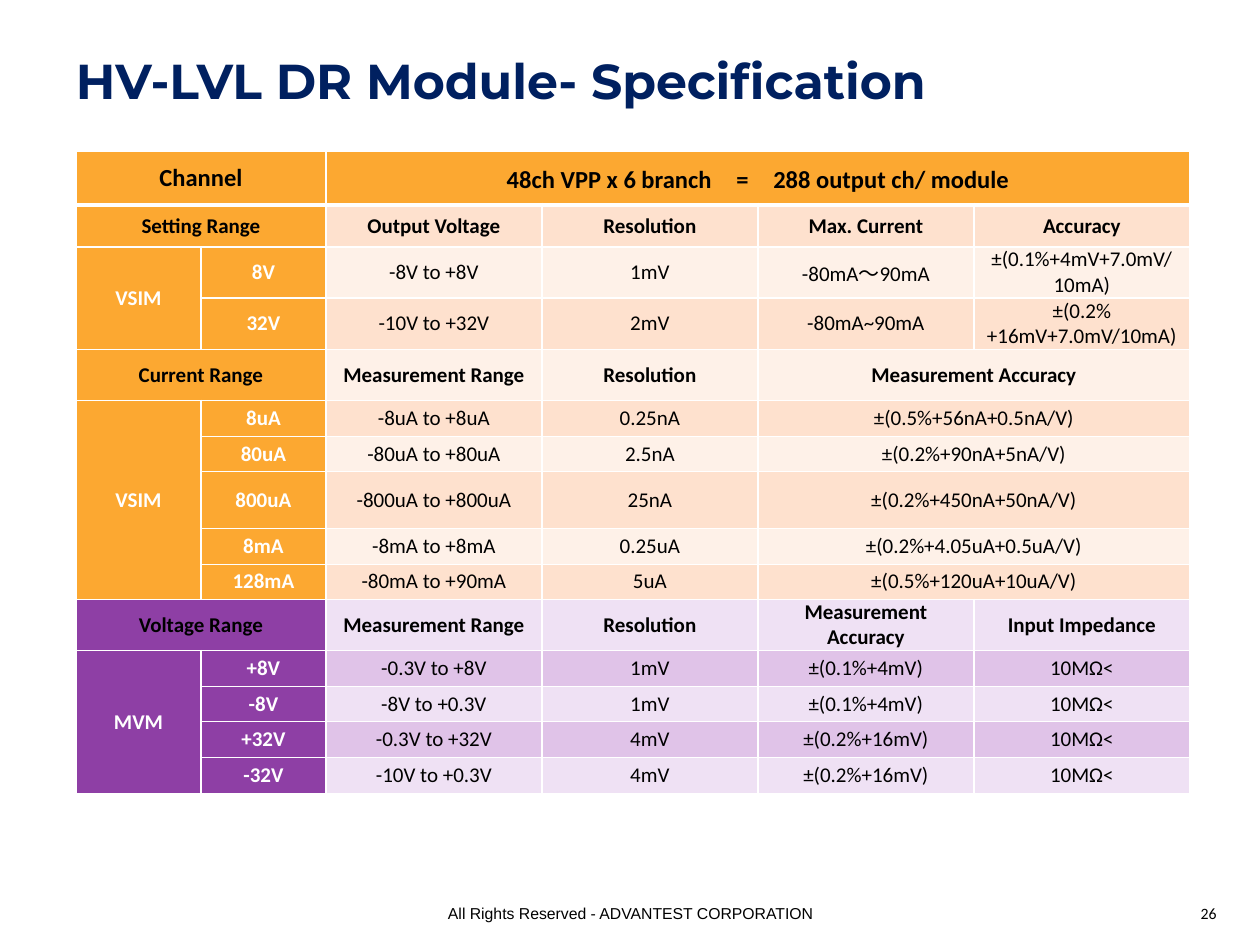
from lxml.etree import SubElement
from pptx import Presentation
from pptx.dml.color import RGBColor
from pptx.enum.text import MSO_ANCHOR, PP_ALIGN
from pptx.oxml.ns import qn
from pptx.util import Emu, Pt

TITLE = "HV-LVL DR Module- Specification"
FOOTER = "All Rights Reserved - ADVANTEST CORPORATION"
PAGE_NUMBER = "26"

NAVY = RGBColor(0x00, 0x20, 0x60)
BLACK = RGBColor(0x00, 0x00, 0x00)
WHITE = RGBColor(0xFF, 0xFF, 0xFF)
ORANGE = RGBColor(0xFC, 0xA8, 0x31)
ORANGE_BANDS = (RGBColor(0xFE, 0xF1, 0xE8), RGBColor(0xFE, 0xE1, 0xCE))
PURPLE = RGBColor(0x8E, 0x3F, 0xA5)
PURPLE_BANDS = (RGBColor(0xEF, 0xE1, 0xF4), RGBColor(0xE0, 0xC3, 0xE8))

CHANNEL = ("Channel", "48ch VPP x 6 branch　=　288 output ch/ module")
SECTIONS = [
    {"color": ORANGE, "bands": ORANGE_BANDS, "group": "VSIM",
     "header": ("Setting Range", "Output Voltage", "Resolution", "Max. Current", "Accuracy"),
     "rows": [("8V", "-8V to +8V", "1mV", "-80mA～90mA", "±(0.1%+4mV+7.0mV/10mA)"),
              ("32V", "-10V to +32V", "2mV", "-80mA~90mA", "±(0.2%+16mV+7.0mV/10mA)")]},
    {"color": ORANGE, "bands": ORANGE_BANDS, "group": "VSIM",
     "header": ("Current Range", "Measurement Range", "Resolution", "Measurement Accuracy"),
     "rows": [("8uA", "-8uA to +8uA", "0.25nA", "±(0.5%+56nA+0.5nA/V)"),
              ("80uA", "-80uA to +80uA", "2.5nA", "±(0.2%+90nA+5nA/V)"),
              ("800uA", "-800uA to +800uA", "25nA", "±(0.2%+450nA+50nA/V)"),
              ("8mA", "-8mA to +8mA", "0.25uA", "±(0.2%+4.05uA+0.5uA/V)"),
              ("128mA", "-80mA to +90mA", "5uA", "±(0.5%+120uA+10uA/V)")]},
    {"color": PURPLE, "bands": PURPLE_BANDS, "group": "MVM",
     "header": ("Voltage Range", "Measurement Range", "Resolution",
                "Measurement Accuracy", "Input Impedance"),
     "rows": [("+8V", "-0.3V to +8V", "1mV", "±(0.1%+4mV)", "10MΩ<"),
              ("-8V", "-8V to +0.3V", "1mV", "±(0.1%+4mV)", "10MΩ<"),
              ("+32V", "-0.3V to +32V", "4mV", "±(0.2%+16mV)", "10MΩ<"),
              ("-32V", "-10V to +0.3V", "4mV", "±(0.2%+16mV)", "10MΩ<")]},
]
COLUMN_WIDTHS = [125, 125, 216, 216, 216, 216]
ROW_HEIGHTS = [54, 42, 51, 51, 51, 36, 35, 57, 36, 35, 51, 36, 35, 36, 36]
LAST_COLUMN = len(COLUMN_WIDTHS) - 1


def px(value):
    return Emu(round(value * 914400 / 126))


def write(frame, text, size=12, font="Calibri", color=BLACK, bold=False, align=PP_ALIGN.CENTER):
    para = frame.paragraphs[0]
    para.alignment = align
    span = para.add_run()
    span.text = text
    span.font.size = Pt(size)
    span.font.name = font
    span.font.color.rgb = color
    span.font.bold = bold


def add_label(page, text, left, width, **style):
    box = page.shapes.add_textbox(px(left), px(898), px(width), px(30))
    box.text_frame.word_wrap = True
    write(box.text_frame, text, size=9, **style)


def set_borders(cell, top, bottom):
    properties = cell._tc.get_or_add_tcPr()
    for side, points in (("L", 1), ("R", 1), ("T", top), ("B", bottom)):
        line = SubElement(properties, qn(f"a:ln{side}"), w=str(Pt(points)))
        fill = SubElement(line, qn("a:solidFill"))
        SubElement(fill, qn("a:srgbClr"), val=str(WHITE))


def fill_cell(table, row, column, text, fill, last_row=None, last_column=None, **style):
    last_row = row if last_row is None else last_row
    last_column = column if last_column is None else last_column
    for r in range(row, last_row + 1):
        for c in range(column, last_column + 1):
            cell = table.cell(r, c)
            set_borders(cell, 3 if r == 1 else 1, 3 if r == 0 else 1)
            cell.fill.solid()
            cell.fill.fore_color.rgb = fill
            cell.margin_left = cell.margin_right = px(9)
            cell.margin_top = cell.margin_bottom = 0
            cell.vertical_anchor = MSO_ANCHOR.MIDDLE
    origin = table.cell(row, column)
    if (last_row, last_column) != (row, column):
        origin.merge(table.cell(last_row, last_column))
    write(origin.text_frame, text, **style)


def fill_values(table, row, values, fill, **style):
    for column, text in enumerate(values, 2):
        is_last = column == len(values) + 1
        fill_cell(table, row, column, text, fill,
                  last_column=LAST_COLUMN if is_last else column, **style)


def fill_heading(table, row, texts, color, fill, **style):
    fill_cell(table, row, 0, texts[0], color, last_column=1, bold=True, **style)
    fill_values(table, row, texts[1:], fill, bold=True, **style)


def add_specification(page):
    frame = page.shapes.add_table(len(ROW_HEIGHTS), len(COLUMN_WIDTHS), px(76), px(151),
                                  px(sum(COLUMN_WIDTHS)), px(sum(ROW_HEIGHTS)))
    table = frame.table
    table.first_row = table.horz_banding = False
    for column, width in zip(table.columns, COLUMN_WIDTHS):
        column.width = px(width)
    for row, height in zip(table.rows, ROW_HEIGHTS):
        row.height = px(height)

    fill_heading(table, 0, CHANNEL, ORANGE, ORANGE, size=14)
    row = 1
    for section in SECTIONS:
        color, bands = section["color"], section["bands"]
        fill_heading(table, row, section["header"], color, bands[row % 2])
        fill_cell(table, row + 1, 0, section["group"], color,
                  last_row=row + len(section["rows"]), color=WHITE, bold=True)
        for row, (label, *values) in enumerate(section["rows"], row + 1):
            fill_cell(table, row, 1, label, color, color=WHITE, bold=True)
            fill_values(table, row, values, bands[row % 2])
        row += 1


def main():
    deck = Presentation()
    deck.slide_width, deck.slide_height = px(1260), px(945)
    page = deck.slides.add_slide(deck.slide_layouts[5])

    title = page.shapes.title
    title.left, title.top, title.width, title.height = px(76), px(43), px(1203), px(74)
    frame = title.text_frame
    frame.margin_left = frame.margin_right = frame.margin_top = frame.margin_bottom = 0
    frame.vertical_anchor = MSO_ANCHOR.MIDDLE
    write(frame, TITLE, size=28, font="Montserrat", color=NAVY, bold=True, align=PP_ALIGN.LEFT)

    add_specification(page)
    add_label(page, FOOTER, 431, 399, font="Arial")
    add_label(page, PAGE_NUMBER, 935, 294, align=PP_ALIGN.RIGHT)
    deck.save("out.pptx")


if __name__ == "__main__":
    main()
